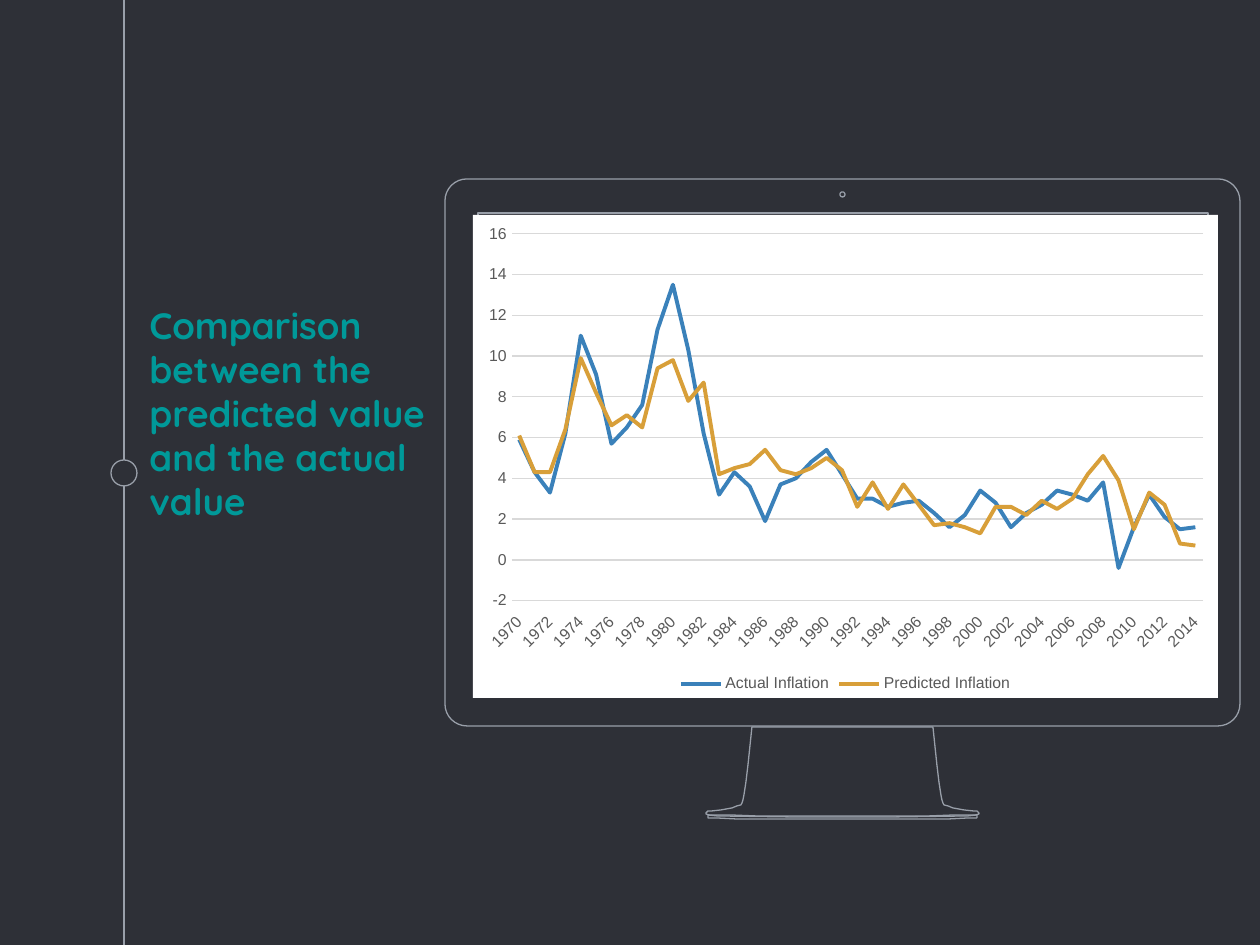
from math import cos, pi, sin

from lxml import etree
from pptx import Presentation
from pptx.chart.data import CategoryChartData
from pptx.dml.color import RGBColor
from pptx.enum.chart import (
    XL_CHART_TYPE, XL_LEGEND_POSITION, XL_TICK_LABEL_POSITION, XL_TICK_MARK,
)
from pptx.enum.shapes import MSO_CONNECTOR, MSO_SHAPE
from pptx.oxml.ns import qn
from pptx.util import Emu, Pt

LINE_CHART = XL_CHART_TYPE.LINE
LEGEND_BOTTOM = XL_LEGEND_POSITION.BOTTOM
LABELS_LOW = XL_TICK_LABEL_POSITION.LOW
NO_TICK = XL_TICK_MARK.NONE
STRAIGHT = MSO_CONNECTOR.STRAIGHT
OVAL = MSO_SHAPE.OVAL

PX = 914400 / 126
COLORS = {
    "background": "2E3037",
    "outline": "999FA9",
    "title": "009999",
    "label": "595959",
    "grid": "D9D9D9",
    "panel": "FFFFFF",
    "actual": "3A81BA",
    "predicted": "D89F39",
}
YEARS = [str(year) for year in range(1970, 2015)]
ACTUAL = [
    5.9, 4.3, 3.3, 6.2, 11, 9.1, 5.7, 6.5, 7.6, 11.3, 13.5, 10.3, 6.2, 3.2, 4.3,
    3.6, 1.9, 3.7, 4, 4.8, 5.4, 4.2, 3, 3, 2.6, 2.8, 2.9, 2.3, 1.6, 2.2,
    3.4, 2.8, 1.6, 2.3, 2.7, 3.4, 3.2, 2.9, 3.8, -0.4, 1.6, 3.2, 2.1, 1.5, 1.6,
]
PREDICTED = [
    6.1, 4.3, 4.3, 6.4, 9.9, 8.2, 6.6, 7.1, 6.5, 9.4, 9.8, 7.8, 8.7, 4.2, 4.5,
    4.7, 5.4, 4.4, 4.2, 4.5, 5, 4.4, 2.6, 3.8, 2.5, 3.7, 2.7, 1.7, 1.8, 1.6,
    1.3, 2.6, 2.6, 2.2, 2.9, 2.5, 3, 4.2, 5.1, 3.9, 1.5, 3.3, 2.7, 0.8, 0.7,
]
MIRROR = 1685
STAND_LEFT = [
    (752, 727), (750, 746), (748, 765), (746, 782), (744, 795), (743, 800),
    (742, 803), (741, 805), (737, 806), (732, 808), (721, 810), (712, 811),
    (708, 811), (706, 813), (706, 814), (709, 815), (730, 815), (756, 816),
]
BASE_LEFT = [
    (791, 819), (736, 819), (716, 818), (708, 818), (708, 815), (717, 816), (790, 817),
]


def emu(pixels):
    return Emu(round(pixels * PX))


def color(name):
    return RGBColor.from_string(COLORS[name])


def rounded_box(left, top, width, height, radius, steps=8):
    """Return the points of a box whose corners are quarter circles."""
    right, bottom = left + width - radius, top + height - radius
    left, top = left + radius, top + radius
    centers = [(right, bottom), (left, bottom), (left, top), (right, top)]
    return [
        (x + radius * cos(angle), y + radius * sin(angle))
        for quarter, (x, y) in enumerate(centers)
        for angle in [pi / 2 * (quarter + step / steps) for step in range(steps + 1)]
    ]


def symmetric(left_half):
    return left_half + [(MIRROR - x, y) for x, y in reversed(left_half)]


class SlideBuilder:
    """Draws styled elements on one slide, with lengths in px."""

    def __init__(self, slide):
        self.slide = slide
        self.shapes = slide.shapes
        fill = slide.background.fill
        fill.solid()
        fill.fore_color.rgb = color("background")

    def outline(self, line, name="outline", width=0.75):
        line.color.rgb = color(name)
        line.width = Pt(width)

    def line(self, x1, y1, x2, y2):
        connector = self.shapes.add_connector(STRAIGHT, emu(x1), emu(y1), emu(x2), emu(y2))
        self.outline(connector.line)
        etree.SubElement(connector._element.spPr, qn("a:effectLst"))

    def circle(self, left, top, size):
        shape = self.shapes.add_shape(OVAL, emu(left), emu(top), emu(size), emu(size))
        shape.shadow.inherit = False
        shape.fill.solid()
        shape.fill.fore_color.rgb = color("background")
        self.outline(shape.line)

    def contours(self, *outlines):
        scaled = [[(emu(x), emu(y)) for x, y in points] for points in outlines]
        builder = self.shapes.build_freeform(*scaled[0][0])
        for index, points in enumerate(scaled):
            if index:
                builder.move_to(*points[0])
            builder.add_line_segments(points[1:], close=True)
        shape = builder.convert_to_shape()
        shape.shadow.inherit = False
        shape.fill.background()
        self.outline(shape.line)

    def text(self, left, top, width, height, paragraphs, size):
        frame = self.shapes.add_textbox(emu(left), emu(top), emu(width), emu(height)).text_frame
        frame.word_wrap = True
        frame.margin_left = frame.margin_right = Pt(7.2)
        frame.margin_top = frame.margin_bottom = Pt(7.2)
        frame.text = "\n".join(paragraphs)
        for paragraph in frame.paragraphs:
            self.font(paragraph.font, "Quicksand", size, "title")
            paragraph.font.bold = True

    def font(self, font, family, size, name):
        font.name = family
        font.size = Pt(size)
        font.color.rgb = color(name)

    def line_chart(self, left, top, width, height, categories, series):
        data = CategoryChartData()
        data.categories = categories
        for name, values, _ in series:
            data.add_series(name, values)
        chart = self.shapes.add_chart(
            LINE_CHART, emu(left), emu(top), emu(width), emu(height), data
        ).chart
        self.font(chart.font, "Arial", 9, "label")
        chart.has_title = False
        chart.has_legend = True
        chart.legend.position = LEGEND_BOTTOM
        chart.legend.include_in_layout = False
        self.font(chart.legend.font, "Arial", 9, "label")
        for axis in (chart.category_axis, chart.value_axis):
            axis.major_tick_mark = axis.minor_tick_mark = NO_TICK
            self.font(axis.tick_labels.font, "Arial", 9, "label")
        chart.category_axis.tick_label_position = LABELS_LOW
        self.outline(chart.category_axis.format.line, "grid")
        value_axis = chart.value_axis
        value_axis.format.line.fill.background()
        value_axis.minimum_scale, value_axis.maximum_scale = -2, 16
        value_axis.major_unit = 2
        self.outline(value_axis.major_gridlines.format.line, "grid")
        plot = chart.plots[0]
        plot.vary_by_categories = False
        for line, (_, _, name) in zip(plot.series, series):
            line.smooth = False
            self.outline(line.format.line, name, 2.25)
        self.chart_fill(chart, "panel")

    def chart_fill(self, chart, name):
        properties = etree.Element(qn("c:spPr"))
        fill = etree.SubElement(properties, qn("a:solidFill"))
        etree.SubElement(fill, qn("a:srgbClr"), val=COLORS[name])
        etree.SubElement(etree.SubElement(properties, qn("a:ln")), qn("a:noFill"))
        chart._chartSpace.find(qn("c:chart")).addnext(properties)


def main():
    presentation = Presentation()
    presentation.slide_width, presentation.slide_height = emu(1260), emu(945)
    builder = SlideBuilder(presentation.slides.add_slide(presentation.slide_layouts[6]))
    builder.line(124, -1, 124, 945)
    builder.circle(111, 460, 26)
    builder.text(
        137, 290, 306, 334,
        ["Comparison between the", "predicted value and the actual value"], 21,
    )
    builder.contours(
        rounded_box(840, 192, 5, 5, 2.5),
        [(478, 213), (1208, 213), (1208, 693), (478, 693)],
        rounded_box(445, 179, 795, 547, 22),
        symmetric(STAND_LEFT),
        symmetric(BASE_LEFT),
    )
    builder.line_chart(
        473, 215, 745, 483, YEARS,
        [
            ("Actual Inflation", ACTUAL, "actual"),
            ("Predicted Inflation", PREDICTED, "predicted"),
        ],
    )
    presentation.save("out.pptx")


if __name__ == "__main__":
    main()
